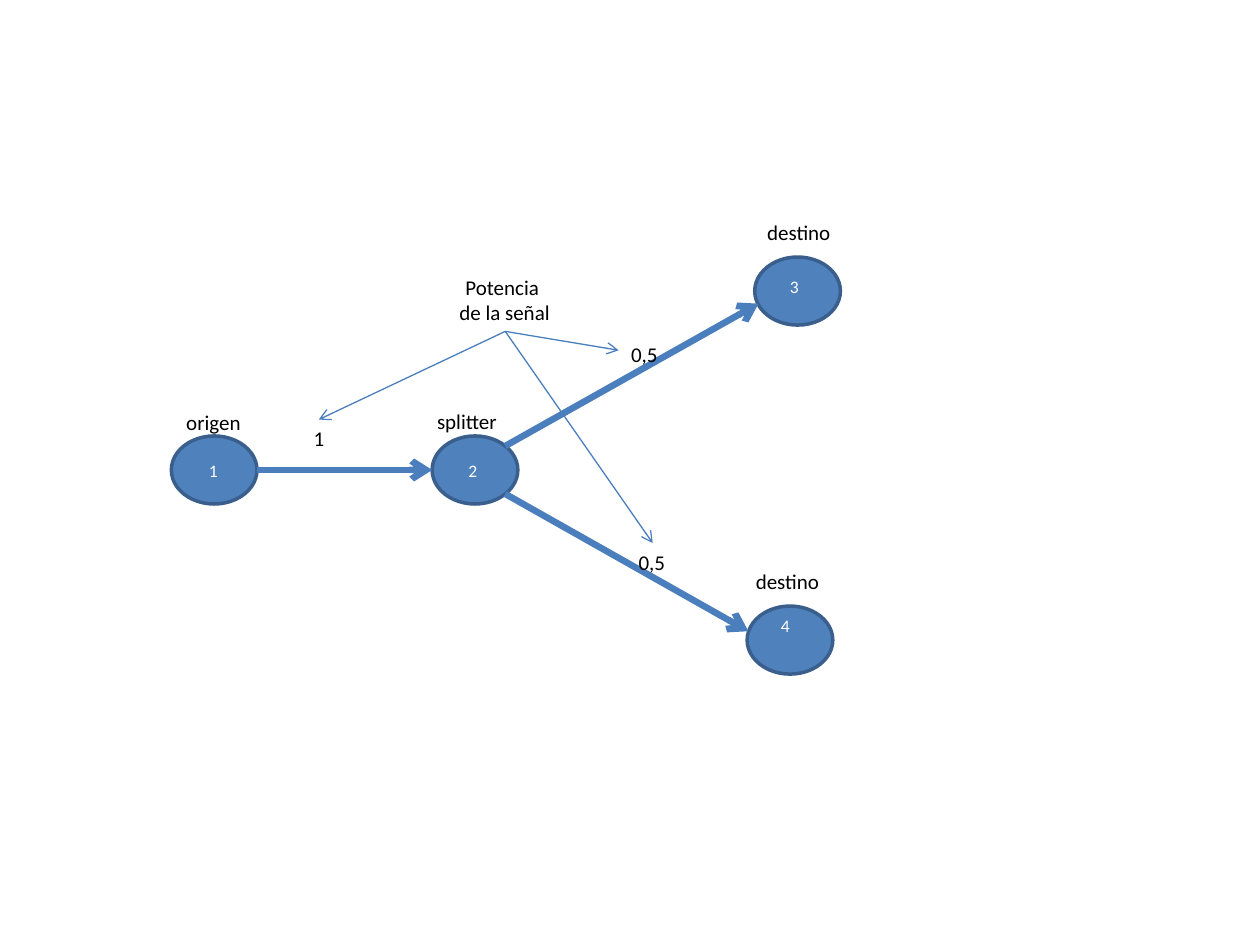
from dataclasses import dataclass
from lxml import etree
from pptx import Presentation
from pptx.dml.color import RGBColor
from pptx.enum.shapes import MSO_CONNECTOR, MSO_SHAPE
from pptx.enum.text import MSO_AUTO_SIZE, PP_ALIGN
from pptx.oxml.ns import qn
from pptx.util import Inches, Pt

OVAL = MSO_SHAPE.OVAL
LINE = MSO_CONNECTOR.STRAIGHT
GROW = MSO_AUTO_SIZE.SHAPE_TO_FIT_TEXT
LEFT, MID = PP_ALIGN.LEFT, PP_ALIGN.CENTER
COLS, ROWS = 100, 75


@dataclass(frozen=True)
class Theme:
    """Colours, font and sizes in points."""
    fill: str = "4F81BD"
    edge: str = "3A5F8C"
    link: str = "4B7EBC"
    ink: str = "000000"
    pale: str = "FFFFFF"
    font: str = "Calibri"
    text: float = 12
    num: float = 10
    rim: float = 2
    bold: float = 3.75
    thin: float = 0.75


@dataclass(frozen=True)
class Node:
    """An oval, by its centre."""
    x: float
    y: float


@dataclass(frozen=True)
class Arrow:
    """A line from one point to another, with its width in points."""
    x1: float
    y1: float
    x2: float
    y2: float
    width: float


@dataclass(frozen=True)
class Label:
    """Text in a box placed by its top left corner."""
    text: str
    x: float
    y: float
    w: float
    h: float = 3
    size: float = Theme.text
    ink: str = Theme.ink
    align: PP_ALIGN = LEFT


def digit(text: str, x: float, y: float) -> Label:
    """Return the small pale number of a node."""
    return Label(text, x, y, 2.7, 2.7, Theme.num, Theme.pale)


T = Theme()
TALL, WIDE = 5.4, 6.8
HUB = (40.1, 26.3)
NODES = [Node(17, 37.3), Node(37.7, 37.3), Node(63.3, 23.1), Node(62.7, 50.8)]
LINKS = [
    Arrow(20.4, 37.3, 34.3, 37.3, T.bold),
    Arrow(40.1, 39.2, 59.4, 50.1, T.bold),
    Arrow(40.1, 35.4, 60.2, 24.1, T.bold),
]
LABELS = [
    Label("1", 23.9, 33.3, 2.9),
    Label("0,5", 49.1, 26.6, 4.2),
    Label("0,5", 49.7, 43.1, 4.2),
    Label("destino", 59.9, 16.9, 7.1),
    Label("origen", 13.8, 32, 6.4, 2.5),
    Label("destino", 59, 44.6, 7.1),
    Label("splitter", 33.7, 31.9, 6.8),
    digit("1", 15.6, 36),
    digit("3", 61.7, 21.4),
    digit("4", 61, 48.3),
    digit("2", 36.2, 36),
    Label("Potencia \nde la señal", 35.4, 21.3, 9.3, 5, align=MID),
]
HINTS = [Arrow(*HUB, x, y, T.thin)
         for x, y in ((25.3, 33.3), (51.8, 43.1), (49.1, 27.8))]

deck = Presentation()
deck.slide_width, deck.slide_height = Inches(10), Inches(7.5)
slide = deck.slides.add_slide(deck.slide_layouts[6])


def col(n: float) -> int:
    """Turn grid columns into a length."""
    return round(deck.slide_width * n / COLS)


def row(n: float) -> int:
    """Turn grid rows into a length."""
    return round(deck.slide_height * n / ROWS)


def draw_node(node: Node) -> None:
    """Draw an upright oval turned on its side."""
    oval = slide.shapes.add_shape(
        OVAL, col(node.x - TALL / 2), row(node.y - WIDE / 2),
        col(TALL), row(WIDE))
    oval.rotation = 270
    oval.shadow.inherit = False
    oval.fill.solid()
    oval.fill.fore_color.rgb = RGBColor.from_string(T.fill)
    oval.line.color.rgb = RGBColor.from_string(T.edge)
    oval.line.width = Pt(T.rim)


def draw_arrow(arrow: Arrow) -> None:
    """Draw a line with an open head at its end."""
    link = slide.shapes.add_connector(
        LINE, col(arrow.x1), row(arrow.y1), col(arrow.x2), row(arrow.y2))
    link.line.color.rgb = RGBColor.from_string(T.link)
    link.line.width = Pt(arrow.width)
    etree.SubElement(link.line._get_or_add_ln(), qn("a:tailEnd"), type="arrow")
    etree.SubElement(link._element.spPr, qn("a:effectLst"))


def draw_label(label: Label) -> None:
    """Draw a text box, one paragraph to a line."""
    box = slide.shapes.add_textbox(
        col(label.x), row(label.y), col(label.w), row(label.h))
    frame = box.text_frame
    frame.text = label.text
    frame.word_wrap = False
    frame.auto_size = GROW
    for para in frame.paragraphs:
        para.alignment = label.align
        para.font.name = T.font
        para.font.size = Pt(label.size)
        para.font.color.rgb = RGBColor.from_string(label.ink)


for draw, items in ((draw_node, NODES), (draw_arrow, LINKS),
                    (draw_label, LABELS), (draw_arrow, HINTS)):
    for item in items:
        draw(item)

deck.save("out.pptx")
